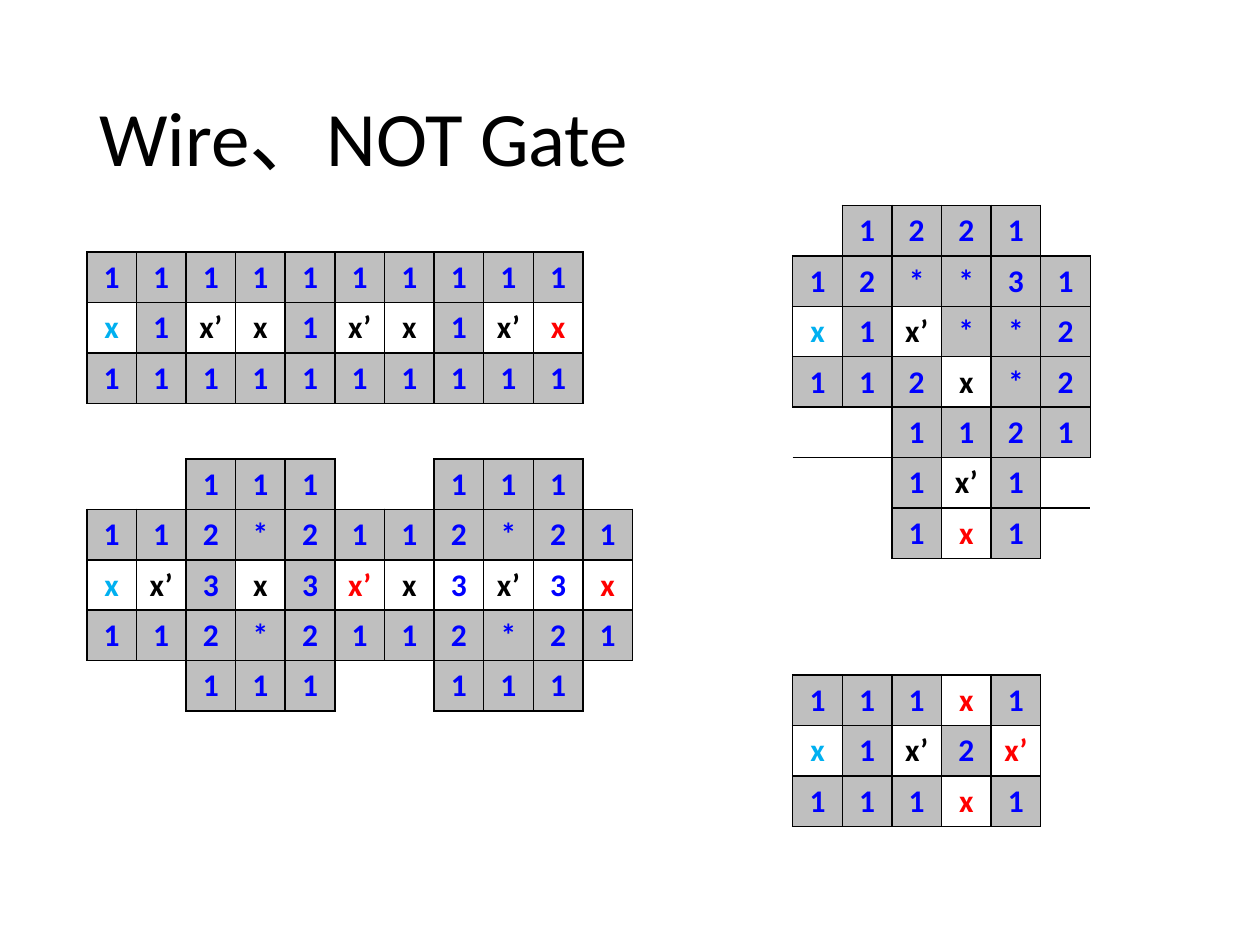
from lxml.etree import SubElement
from pptx import Presentation
from pptx.dml.color import RGBColor
from pptx.enum.text import MSO_ANCHOR, PP_ALIGN
from pptx.oxml.ns import qn
from pptx.util import Cm, Pt

BLACK = RGBColor(0x00, 0x00, 0x00)
GREY = RGBColor(0xBF, 0xBF, 0xBF)
BLUE = RGBColor(0x00, 0x00, 0xFF)
CYAN = RGBColor(0x00, 0xB0, 0xF0)
RED = RGBColor(0xFF, 0x00, 0x00)

NO_STYLE_NO_GRID = "{2D5ABB26-0587-4C30-8999-92F81FD0307C}"
VOID = "."  # a cell outside the circuit
# A token may start with a mark: "<" input, ">" output, "_" clue on white
MARK_COLORS = {"<": CYAN, ">": RED, "_": BLUE}

# Left and top in centimetres, then the rows of each circuit
CIRCUITS = [
    # Straight wire
    (1.75, 5.08, ["1 1 1 1 1 1 1 1 1 1",
                  "<x 1 x’ x 1 x’ x 1 x’ >x",
                  "1 1 1 1 1 1 1 1 1 1"]),
    # Bent wire
    (15.98, 4.14, [". 1 2 2 1 .",
                   "1 2 * * 3 1",
                   "<x 1 x’ * * 2",
                   "1 1 2 x * 2",
                   ". . 1 1 2 1",
                   ". . 1 x’ 1 .",
                   ". . 1 >x 1 ."]),
    # NOT gate
    (1.75, 9.25, [". . 1 1 1 .",
                  "1 1 2 * 2 1",
                  "<x x’ 3 x 3 >x’",
                  "1 1 2 * 2 1",
                  ". . 1 1 1 ."]),
    # Second NOT gate, joined to the first
    (7.75, 9.25, [". 1 1 1 .",
                  "1 2 * 2 1",
                  "x _3 x’ _3 >x",
                  "1 2 * 2 1",
                  ". 1 1 1 ."]),
    # Splitter
    (15.98, 13.61, ["1 1 1 >x 1",
                    "<x 1 x’ 2 >x’",
                    "1 1 1 >x 1"]),
]


class SlideBuilder:
    font_name = "Calibri"
    title_size = Pt(44)
    cell_size = Pt(18)
    cell_side = Cm(1)
    border_width = Pt(1)

    def __init__(self, slide):
        self.slide = slide

    def add_run(self, paragraph, text, size, color, bold=False):
        run = paragraph.add_run()
        run.text = text
        run.font.name = self.font_name
        run.font.size = size
        run.font.bold = bold
        run.font.color.rgb = color

    def add_title(self, text, left, top, width, height):
        shape = self.slide.shapes.add_textbox(left, top, width, height)
        frame = shape.text_frame
        frame.word_wrap = True
        frame.vertical_anchor = MSO_ANCHOR.MIDDLE
        paragraph = frame.paragraphs[0]
        paragraph.line_spacing = 0.9
        self.add_run(paragraph, text, self.title_size, BLACK)

    def add_border(self, cell, side):
        properties = cell._tc.get_or_add_tcPr()
        line = SubElement(properties, qn(f"a:ln{side}"), w=str(self.border_width))
        fill = SubElement(line, qn("a:solidFill"))
        SubElement(fill, qn("a:srgbClr"), val=str(BLACK))

    def fill_cell(self, cell, token):
        cell.margin_left = cell.margin_right = 0
        cell.vertical_anchor = MSO_ANCHOR.MIDDLE
        if token == VOID:
            cell.fill.background()
            return
        text = token.lstrip("<>_")
        is_variable = text.startswith("x")
        color = MARK_COLORS.get(token[0], BLACK if is_variable else BLUE)
        if is_variable or token.startswith("_"):
            cell.fill.background()
        else:
            cell.fill.solid()
            cell.fill.fore_color.rgb = GREY
        paragraph = cell.text_frame.paragraphs[0]
        paragraph.alignment = PP_ALIGN.CENTER
        self.add_run(paragraph, text, self.cell_size, color, bold=True)

    def add_circuit(self, left, top, rows):
        grid = [row.split() for row in rows]
        tokens = {(r, c): token for r, row in enumerate(grid)
                  for c, token in enumerate(row)}
        row_count, column_count = len(grid), len(grid[0])
        shape = self.slide.shapes.add_table(
            row_count, column_count, left, top,
            self.cell_side * column_count, self.cell_side * row_count)
        table = shape.table
        table.first_row = table.horz_banding = False
        table._tbl.tblPr.find(qn("a:tableStyleId")).text = NO_STYLE_NO_GRID
        for line in [*table.columns]:
            line.width = self.cell_side
        for line in table.rows:
            line.height = self.cell_side

        for (r, c), token in tokens.items():
            cell = table.cell(r, c)
            neighbours = {"L": (r, c - 1), "R": (r, c + 1),
                          "T": (r - 1, c), "B": (r + 1, c)}
            # A side is drawn where it touches the circuit
            for side, place in neighbours.items():
                if token != VOID or tokens.get(place, VOID) != VOID:
                    self.add_border(cell, side)
            self.fill_cell(cell, token)


def main():
    presentation = Presentation()
    presentation.slide_width = Cm(25.4)
    presentation.slide_height = Cm(19.05)
    slide = presentation.slides.add_slide(presentation.slide_layouts[6])
    builder = SlideBuilder(slide)

    # Title
    builder.add_title("Wire、NOT Gate", Cm(1.75), Cm(1.02), Cm(21.9), Cm(3.68))

    # Circuits
    for left, top, rows in CIRCUITS:
        builder.add_circuit(Cm(left), Cm(top), rows)

    presentation.save("out.pptx")


if __name__ == "__main__":
    main()
